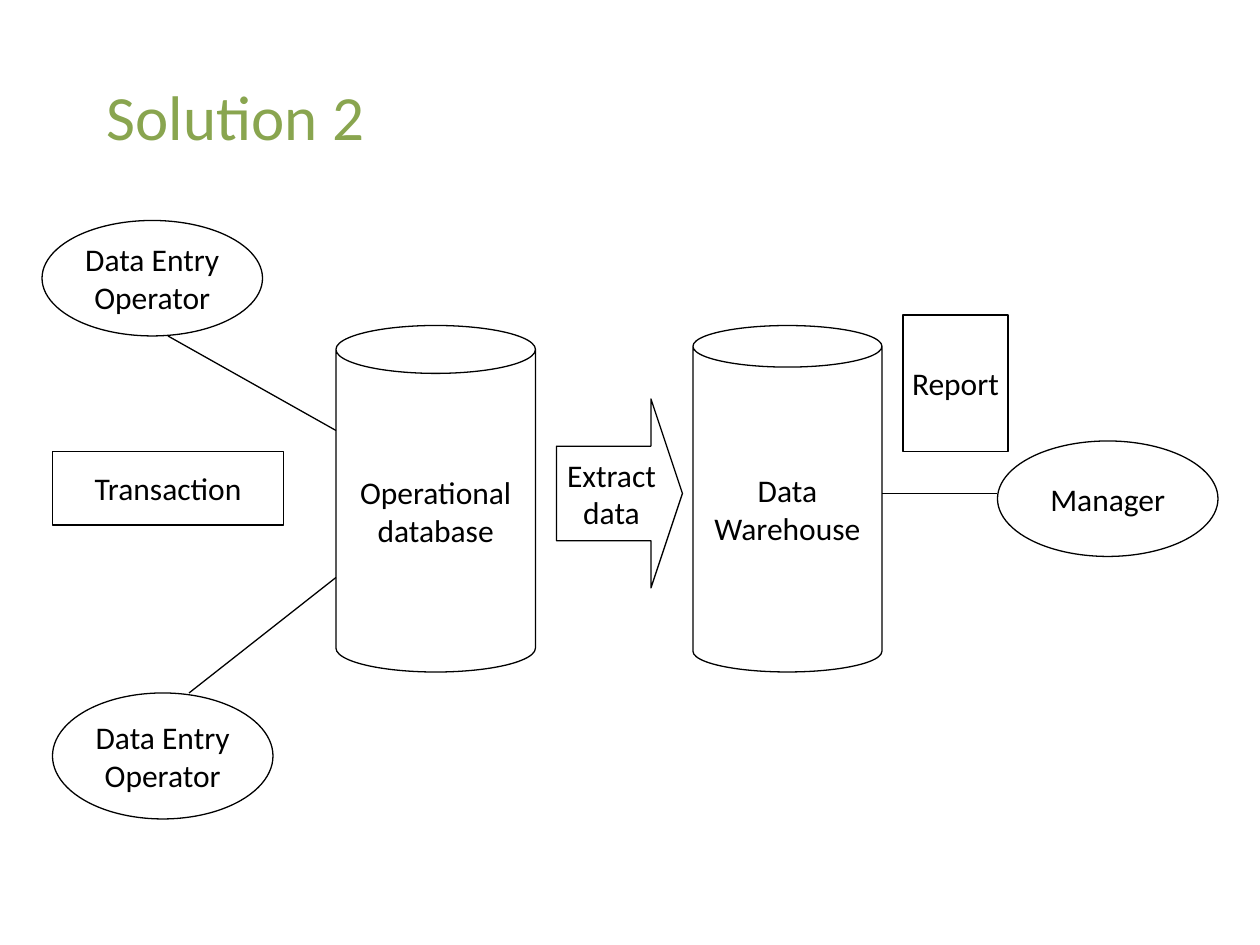
from lxml import etree
from pptx import Presentation
from pptx.dml.color import RGBColor
from pptx.enum.shapes import MSO_CONNECTOR, MSO_SHAPE
from pptx.enum.text import MSO_ANCHOR, PP_ALIGN
from pptx.oxml.ns import qn
from pptx.util import Emu, Pt

EMU_PER_PX = 7620  # 120 px to the inch
COLOURS = {"title": "89A54F", "ink": "000000", "paper": "FFFFFF"}
CAN, ARROW = MSO_SHAPE.CAN, MSO_SHAPE.RIGHT_ARROW
OVAL, RECTANGLE = MSO_SHAPE.OVAL, MSO_SHAPE.RECTANGLE
STRAIGHT = MSO_CONNECTOR.STRAIGHT
MIDDLE = MSO_ANCHOR.MIDDLE
LEFT, CENTER = PP_ALIGN.LEFT, PP_ALIGN.CENTER


def px(*lengths):
    return [Emu(length * EMU_PER_PX) for length in lengths]


def colour(name):
    return RGBColor.from_string(COLOURS[name])


class Diagram:
    font_name = "Calibri"
    line_width = Pt(0.75)

    def __init__(self, slide):
        self.slide = slide

    def add_lines(self, shape, lines, size, colour_name, alignment, wrap):
        frame = shape.text_frame
        frame.word_wrap = wrap
        frame.vertical_anchor = MIDDLE
        for index, line in enumerate(lines):
            paragraph = frame.add_paragraph() if index else frame.paragraphs[0]
            paragraph.alignment = alignment
            run = paragraph.add_run()
            run.text = line
            run.font.name = self.font_name
            run.font.size = Pt(size)
            run.font.color.rgb = colour(colour_name)

    def outline(self, shape):
        shape.line.color.rgb = colour("ink")
        shape.line.width = self.line_width

    def title(self, box, text):
        shape = self.slide.shapes.add_textbox(*px(*box))
        self.add_lines(shape, [text], 36, "title", LEFT, True)

    def node(self, kind, box, lines, adjustments=(), filled=False):
        shape = self.slide.shapes.add_shape(kind, *px(*box))
        shape.shadow.inherit = False
        for index, value in enumerate(adjustments):
            shape.adjustments[index] = value
        if filled:
            shape.fill.solid()
            shape.fill.fore_color.rgb = colour("paper")
        else:
            shape.fill.background()
        self.outline(shape)
        self.add_lines(shape, lines, 18, "ink", CENTER, False)

    def link(self, start, end):
        connector = self.slide.shapes.add_connector(STRAIGHT, *px(*start, *end))
        self.outline(connector)
        etree.SubElement(connector._element.spPr, qn("a:effectLst"))


def main():
    presentation = Presentation()
    presentation.slide_width, presentation.slide_height = px(1200, 900)
    slide = presentation.slides.add_slide(presentation.slide_layouts[6])
    diagram = Diagram(slide)

    diagram.title((90, 80, 1020, 60), "Solution 2")
    diagram.node(CAN, (320, 310, 190, 330), ["Operational", "database"], [0.24])
    diagram.node(CAN, (660, 310, 180, 330), ["Data", "Warehouse"], [0.22])
    diagram.node(ARROW, (530, 380, 120, 180), ["Extract", "data"], [0.5, 0.25])

    for box in ((50, 660, 210, 120), (40, 210, 210, 110)):
        diagram.node(OVAL, box, ["Data Entry", "Operator"])
    diagram.node(OVAL, (950, 420, 210, 110), ["Manager"])

    diagram.link((160, 320), (320, 410))
    diagram.link((180, 660), (320, 550))
    diagram.link((840, 470), (950, 470))

    diagram.node(RECTANGLE, (860, 300, 100, 130), ["Report"], filled=True)
    diagram.node(RECTANGLE, (50, 430, 220, 70), ["Transaction"], filled=True)

    presentation.save("out.pptx")


if __name__ == "__main__":
    main()
